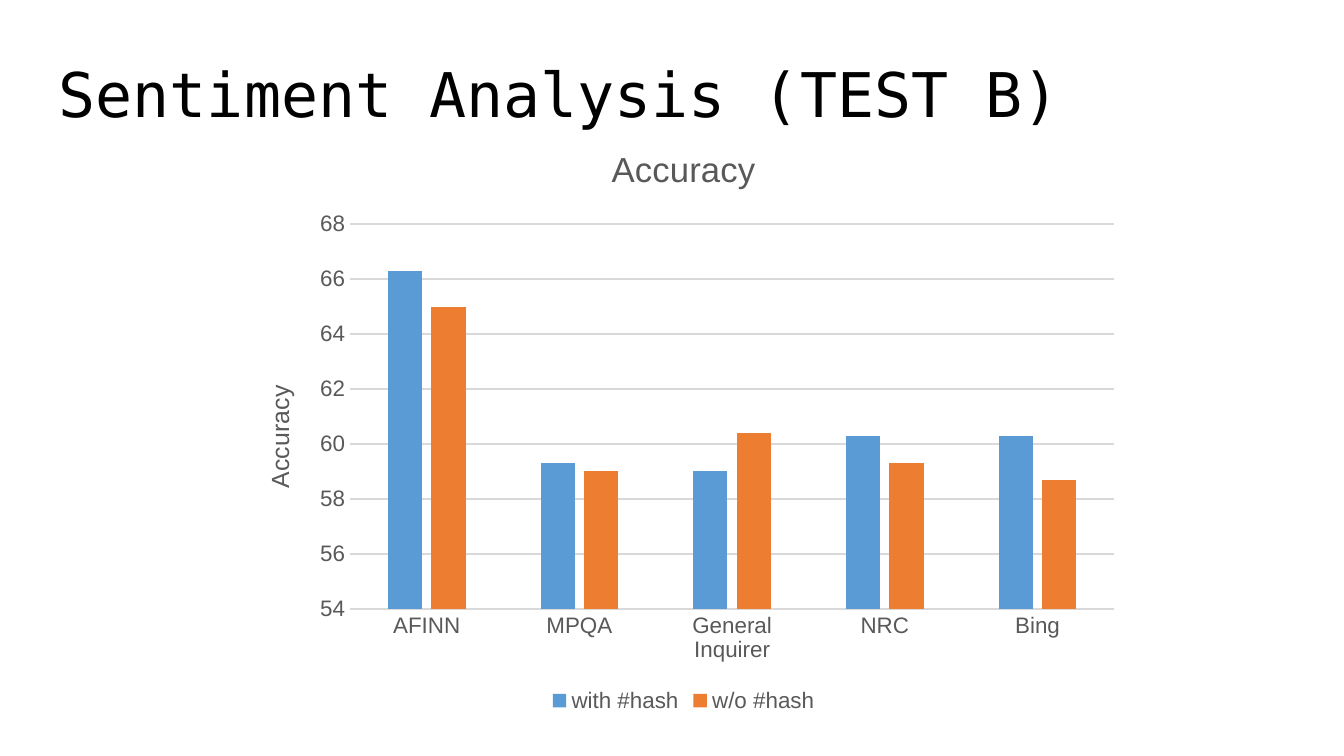
import pptx
import pptx.chart.data
import pptx.dml.color
import pptx.enum.chart
import pptx.enum.text
import pptx.util
from pptx.util import Cm

BLACK = pptx.dml.color.RGBColor(0x00, 0x00, 0x00)
GRAY = pptx.dml.color.RGBColor(0x59, 0x59, 0x59)
GRID_GRAY = pptx.dml.color.RGBColor(0xD9, 0xD9, 0xD9)
BLUE = pptx.dml.color.RGBColor(0x5B, 0x9B, 0xD5)
ORANGE = pptx.dml.color.RGBColor(0xED, 0x7D, 0x31)

LEXICONS = ["AFINN", "MPQA", "General Inquirer", "NRC", "Bing"]
ACCURACIES = [
    ("with #hash", [66.3, 59.3, 59.0, 60.3, 60.3], BLUE),
    ("w/o #hash", [65.0, 59.0, 60.4, 59.3, 58.7], ORANGE),
]


def format_font(font, size, color=GRAY, name="Arial"):
    font.size = pptx.util.Pt(size)
    font.name = name
    font.bold = False
    font.color.rgb = color


def write_text(text_frame, text, size, line_spacing=None, **font_format):
    paragraph = text_frame.paragraphs[0]
    paragraph.line_spacing = line_spacing
    run = paragraph.add_run()
    run.text = text
    format_font(run.font, size, **font_format)


def add_heading(slide, text):
    shape = slide.shapes.add_textbox(Cm(0.86), Cm(1.04), Cm(23.67), Cm(1.6))
    text_frame = shape.text_frame
    text_frame.word_wrap = True
    text_frame.vertical_anchor = pptx.enum.text.MSO_ANCHOR.MIDDLE
    text_frame.margin_left = text_frame.margin_right = Cm(0.25)
    text_frame.margin_top = text_frame.margin_bottom = Cm(0.25)
    write_text(text_frame, text, 33, line_spacing=0.9,
               color=BLACK, name="DejaVu Sans Mono")


def format_line(line):
    line.color.rgb = GRID_GRAY
    line.width = pptx.util.Pt(0.75)


def format_axes(chart):
    for axis in (chart.category_axis, chart.value_axis):
        axis.major_tick_mark = pptx.enum.chart.XL_TICK_MARK.NONE
        axis.minor_tick_mark = pptx.enum.chart.XL_TICK_MARK.NONE
        format_font(axis.tick_labels.font, 12)
    format_line(chart.category_axis.format.line)
    value_axis = chart.value_axis
    value_axis.minimum_scale = 54
    value_axis.maximum_scale = 68
    value_axis.major_unit = 2
    value_axis.tick_labels.number_format = "General"
    value_axis.tick_labels.number_format_is_linked = False
    value_axis.format.line.fill.background()
    format_line(value_axis.major_gridlines.format.line)
    write_text(value_axis.axis_title.text_frame, "Accuracy", 13.3)


def add_accuracy_chart(slide):
    chart_data = pptx.chart.data.CategoryChartData()
    chart_data.categories = LEXICONS
    for name, values, _ in ACCURACIES:
        chart_data.add_series(name, values)
    chart = slide.shapes.add_chart(
        pptx.enum.chart.XL_CHART_TYPE.COLUMN_CLUSTERED,
        Cm(4.45), Cm(2.29), Cm(16.94), Cm(11.28), chart_data).chart
    format_font(chart.font, 10, color=BLACK)
    chart.has_title = True
    write_text(chart.chart_title.text_frame, "Accuracy", 18.6)
    chart.chart_title.include_in_layout = False
    chart.has_legend = True
    chart.legend.position = pptx.enum.chart.XL_LEGEND_POSITION.BOTTOM
    chart.legend.include_in_layout = False
    format_font(chart.legend.font, 12)
    plot = chart.plots[0]
    plot.gap_width = 219
    plot.overlap = -27
    plot.vary_by_categories = False
    for series, (_, _, color) in zip(plot.series, ACCURACIES):
        series.format.fill.solid()
        series.format.fill.fore_color.rgb = color
        series.invert_if_negative = False
    format_axes(chart)


def main():
    presentation = pptx.Presentation()
    presentation.slide_width = Cm(25.4)
    presentation.slide_height = Cm(14.29)
    slide = presentation.slides.add_slide(presentation.slide_layouts[6])
    add_heading(slide, "Sentiment Analysis (TEST B)")
    add_accuracy_chart(slide)
    presentation.save("out.pptx")


main()
